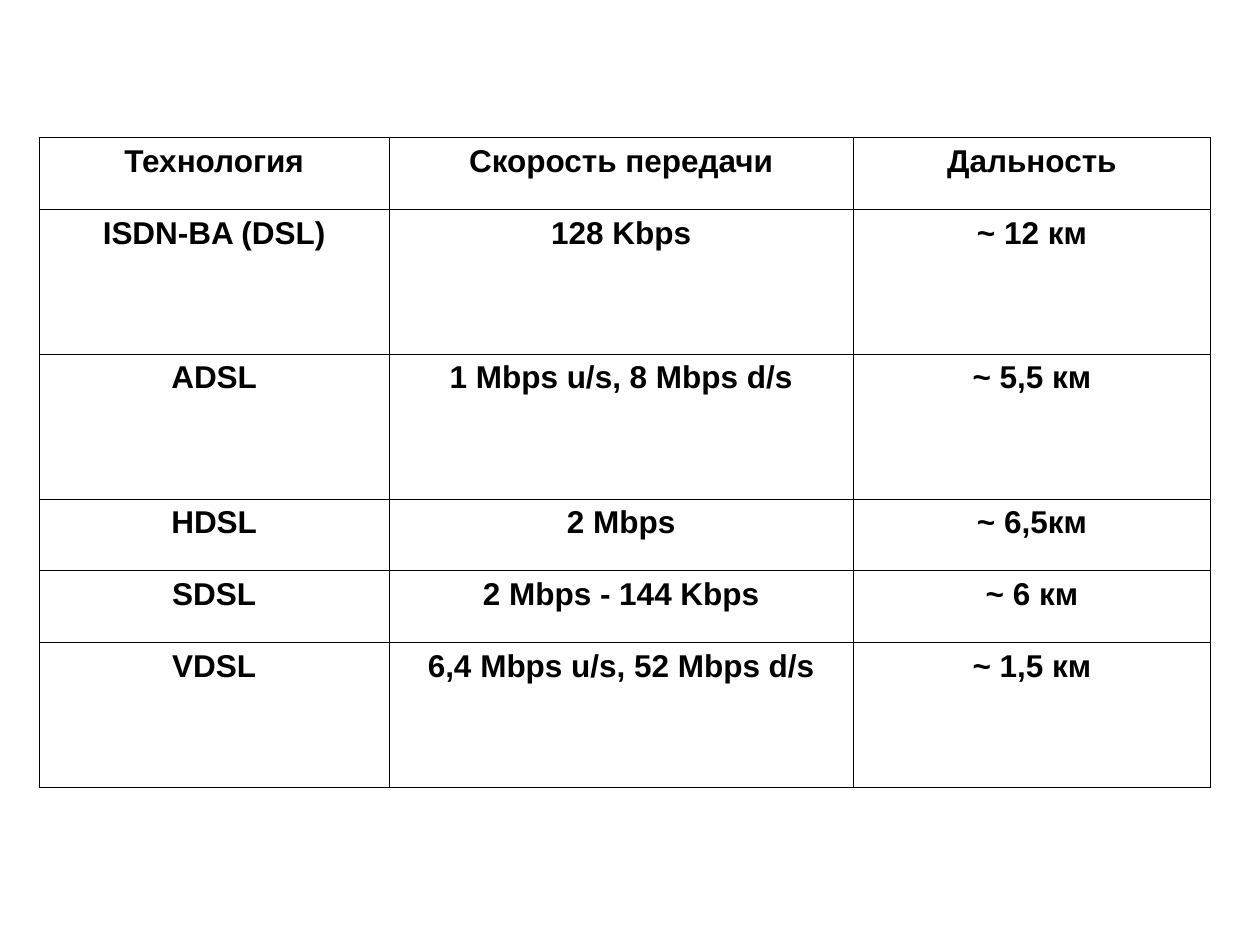
"""Build a slide with a table comparing DSL technologies by speed and range."""
from lxml.etree import SubElement
from pptx import Presentation
from pptx.dml.color import RGBColor
from pptx.enum.text import PP_ALIGN
from pptx.oxml.ns import qn
from pptx.util import Inches, Pt

ROWS = [
    ("Технология", "Скорость передачи", "Дальность"),
    ("ISDN-BA (DSL)", "128 Kbps", "~ 12 км"),
    ("ADSL", "1 Mbps u/s, 8 Mbps d/s", "~ 5,5 км"),
    ("HDSL", "2 Mbps", "~ 6,5км"),
    ("SDSL", "2 Мbps - 144 Kbps", "~ 6 км"),
    ("VDSL", "6,4 Mbps u/s, 52 Mbps d/s", "~ 1,5 км"),
]
COLUMN_WIDTHS = [2.78, 3.68, 2.84]
ROW_HEIGHTS = [0.57, 1.15, 1.15, 0.57, 0.57, 1.15]
LEFT, TOP = 0.31, 1.09
BLACK = "000000"


def color(value):
    return RGBColor.from_string(value)


def add_borders(cell, line_color=BLACK, width=0.45):
    properties = cell._tc.get_or_add_tcPr()
    for side in ("lnL", "lnR", "lnT", "lnB"):
        line = SubElement(properties, qn(f"a:{side}"), w=str(Pt(width)))
        fill = SubElement(line, qn("a:solidFill"))
        SubElement(fill, qn("a:srgbClr"), val=line_color)


def write_cell(cell, text, size=18, font="Arial", text_color=BLACK, bold=True):
    cell.margin_left = cell.margin_right = Inches(0.08)
    cell.margin_top = cell.margin_bottom = Inches(0.05)
    paragraph = cell.text_frame.paragraphs[0]
    paragraph.alignment = PP_ALIGN.CENTER
    run = paragraph.add_run()
    run.text = text
    run.font.size = Pt(size)
    run.font.name = font
    run.font.bold = bold
    run.font.color.rgb = color(text_color)


def main():
    presentation = Presentation()
    presentation.slide_width, presentation.slide_height = Inches(10), Inches(7.5)
    slide = presentation.slides.add_slide(presentation.slide_layouts[6])
    table = slide.shapes.add_table(
        len(ROWS), len(COLUMN_WIDTHS), Inches(LEFT), Inches(TOP),
        Inches(sum(COLUMN_WIDTHS)), Inches(sum(ROW_HEIGHTS))).table
    table.first_row = table.horz_banding = False
    for column, width in zip(table.columns, COLUMN_WIDTHS):
        column.width = Inches(width)
    for row, height, texts in zip(table.rows, ROW_HEIGHTS, ROWS):
        row.height = Inches(height)
        for cell, text in zip(row.cells, texts):
            add_borders(cell)
            cell.fill.background()
            write_cell(cell, text)
    presentation.save("out.pptx")


if __name__ == "__main__":
    main()
